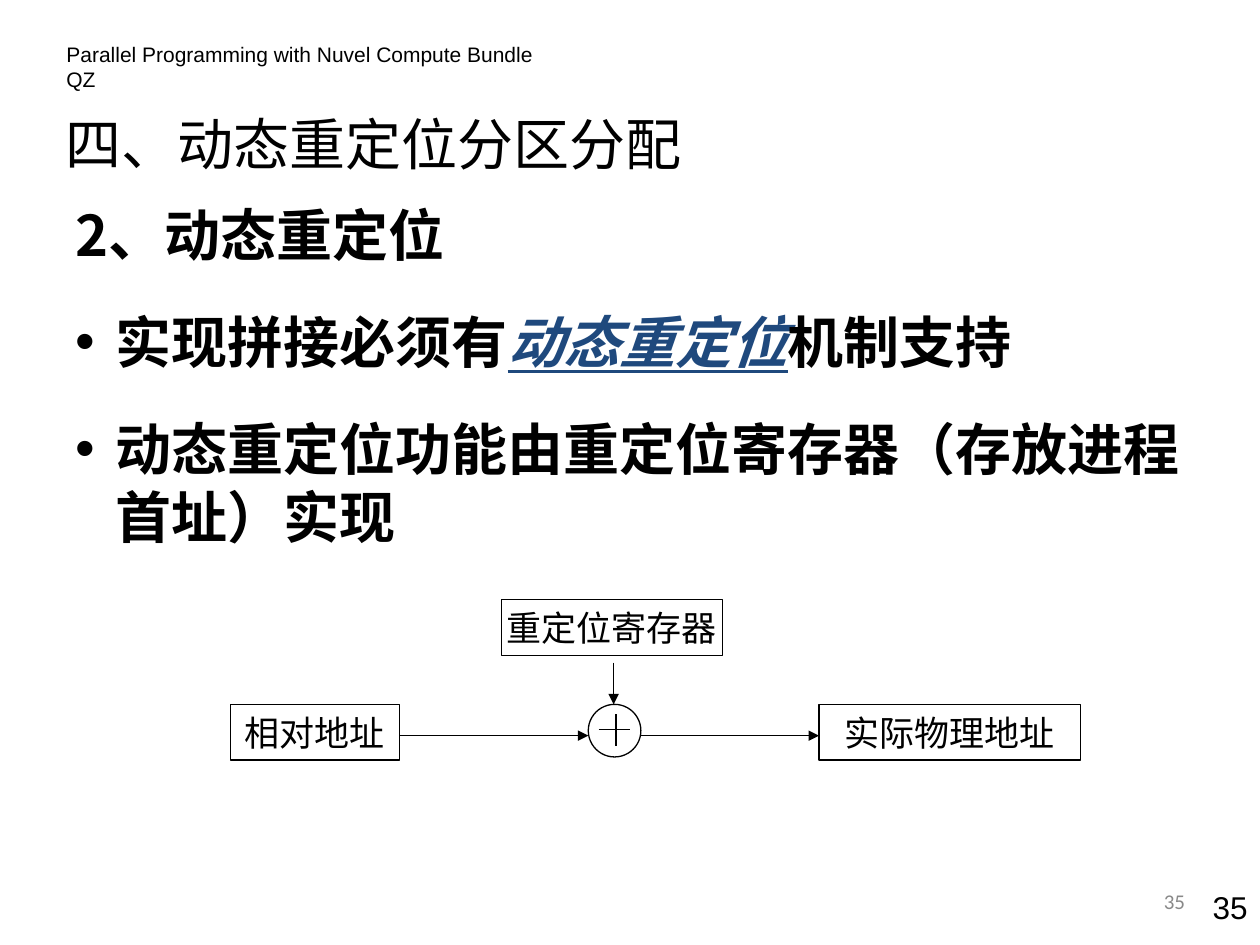
"""Build the slide on dynamic relocation in partitioned memory allocation."""
import lxml.etree
import pptx
import pptx.dml.color
import pptx.enum.shapes
import pptx.enum.text
import pptx.oxml.ns
import pptx.util

Cm = pptx.util.Cm
Pt = pptx.util.Pt
qn = pptx.oxml.ns.qn
ALIGN = pptx.enum.text.PP_ALIGN
ANCHOR = pptx.enum.text.MSO_ANCHOR
SHAPE = pptx.enum.shapes.MSO_SHAPE
CJK = "Noto Sans CJK SC"
COLORS = {"ink": "000000", "accent": "1F497D", "muted": "898989"}


def add_run(paragraph, text, color, font_format):
    run = paragraph.add_run()
    run.text = text
    for attribute, value in font_format.items():
        setattr(run.font, attribute, value)
    run.font.color.rgb = pptx.dml.color.RGBColor.from_string(COLORS[color])
    lxml.etree.SubElement(run.font._element, qn("a:ea"), typeface=CJK)


def style_outline(line):
    line.width = Pt(0.75)
    line.color.rgb = pptx.dml.color.RGBColor.from_string(COLORS["ink"])


presentation = pptx.Presentation()
presentation.slide_width = Cm(25.4)
presentation.slide_height = Cm(19.05)
slide = presentation.slides.add_slide(presentation.slide_layouts[6])

labels = [
    ("Parallel Programming with Nuvel Compute Bundle QZ", (1.09, 0.71, 10.41, 0.76),
     "ink", {"name": "Arial", "size": Pt(12)}, ALIGN.LEFT, ANCHOR.TOP),
    ("四、动态重定位分区分配", (1.07, 1.93, 14.4, 1.9),
     "ink", {"name": CJK, "size": Pt(32)}, ALIGN.LEFT, ANCHOR.MIDDLE),
    ("35", (23.7, 17.78, 1.7, 1.27),
     "ink", {"name": "Arial", "size": Pt(18)}, ALIGN.RIGHT, ANCHOR.TOP),
    ("35", (18.21, 17.65, 5.93, 1.02),
     "muted", {"name": "Calibri", "size": Pt(12)}, ALIGN.RIGHT, ANCHOR.MIDDLE),
]
for text, place, color, font_format, alignment, anchor in labels:
    label = slide.shapes.add_textbox(*map(Cm, place)).text_frame
    label.word_wrap = True
    label.vertical_anchor = anchor
    label.paragraphs[0].alignment = alignment
    add_run(label.paragraphs[0], text, color, font_format)

points = [
    [("2、动态重定位", "ink", {})],
    [("实现拼接必须有", "ink", {}),
     ("动态重定位", "accent", {"italic": True, "underline": True}),
     ("机制支持", "ink", {})],
    [("动态重定位功能由重定位寄存器（存放进程首址）实现", "ink", {})],
]
body_font = {"name": CJK, "size": Pt(32), "bold": True}
body = slide.shapes.add_textbox(Cm(1.27), Cm(3.9), Cm(23.5), Cm(11.63)).text_frame
body.word_wrap = True
for index, pieces in enumerate(points):
    point = body.add_paragraph() if index else body.paragraphs[0]
    point.line_spacing = Pt(39)
    indents = point._p.get_or_add_pPr()
    indents.set("marL", str(Cm(0.8)))
    indents.set("indent", str(Cm(-0.8)))
    if index:
        point.space_before = Pt(22)
        lxml.etree.SubElement(indents, qn("a:buFont"), typeface="Arial")
        lxml.etree.SubElement(indents, qn("a:buChar"), char="•")
    for text, color, emphasis in pieces:
        add_run(point, text, color, body_font | emphasis)

row_top = 14.2
nodes = [
    ("相对地址", SHAPE.RECTANGLE, (4.65, row_top, 3.4, 1.12)),
    ("重定位寄存器", SHAPE.RECTANGLE, (10.11, 12.09, 4.45, 1.12)),
    ("", SHAPE.OVAL, (11.86, row_top, 1.06, 1.06)),
    ("实际物理地址", SHAPE.RECTANGLE, (16.51, row_top, 5.28, 1.12)),
]
margins = ("margin_left", "margin_top", "margin_right", "margin_bottom")
node_format = {"vertical_anchor": ANCHOR.MIDDLE, "word_wrap": True} | dict.fromkeys(margins, 0)
for text, outline, place in nodes:
    node = slide.shapes.add_shape(outline, *map(Cm, place))
    node.shadow.inherit = False
    node.fill.background()
    style_outline(node.line)
    for attribute, value in node_format.items():
        setattr(node.text_frame, attribute, value)
    if text:
        caption = node.text_frame.paragraphs[0]
        caption.alignment = ALIGN.CENTER
        add_run(caption, text, "ink", {"name": "Arial", "size": Pt(20)})

flow_y = 14.83
strokes = [
    ((12.07, 14.71, 12.7, 14.71), False),
    ((12.42, 14.4, 12.42, 15.04), False),
    ((8.05, flow_y, 11.86, flow_y), True),
    ((12.92, flow_y, 16.51, flow_y), True),
    ((12.37, 13.36, 12.37, row_top), True),
]
for ends, has_arrowhead in strokes:
    stroke = slide.shapes.add_connector(
        pptx.enum.shapes.MSO_CONNECTOR.STRAIGHT, *map(Cm, ends))
    style_outline(stroke.line)
    if has_arrowhead:
        lxml.etree.SubElement(stroke.line._get_or_add_ln(), qn("a:tailEnd"), type="triangle")
    lxml.etree.SubElement(stroke._element.spPr, qn("a:effectLst"))

presentation.save("out.pptx")
